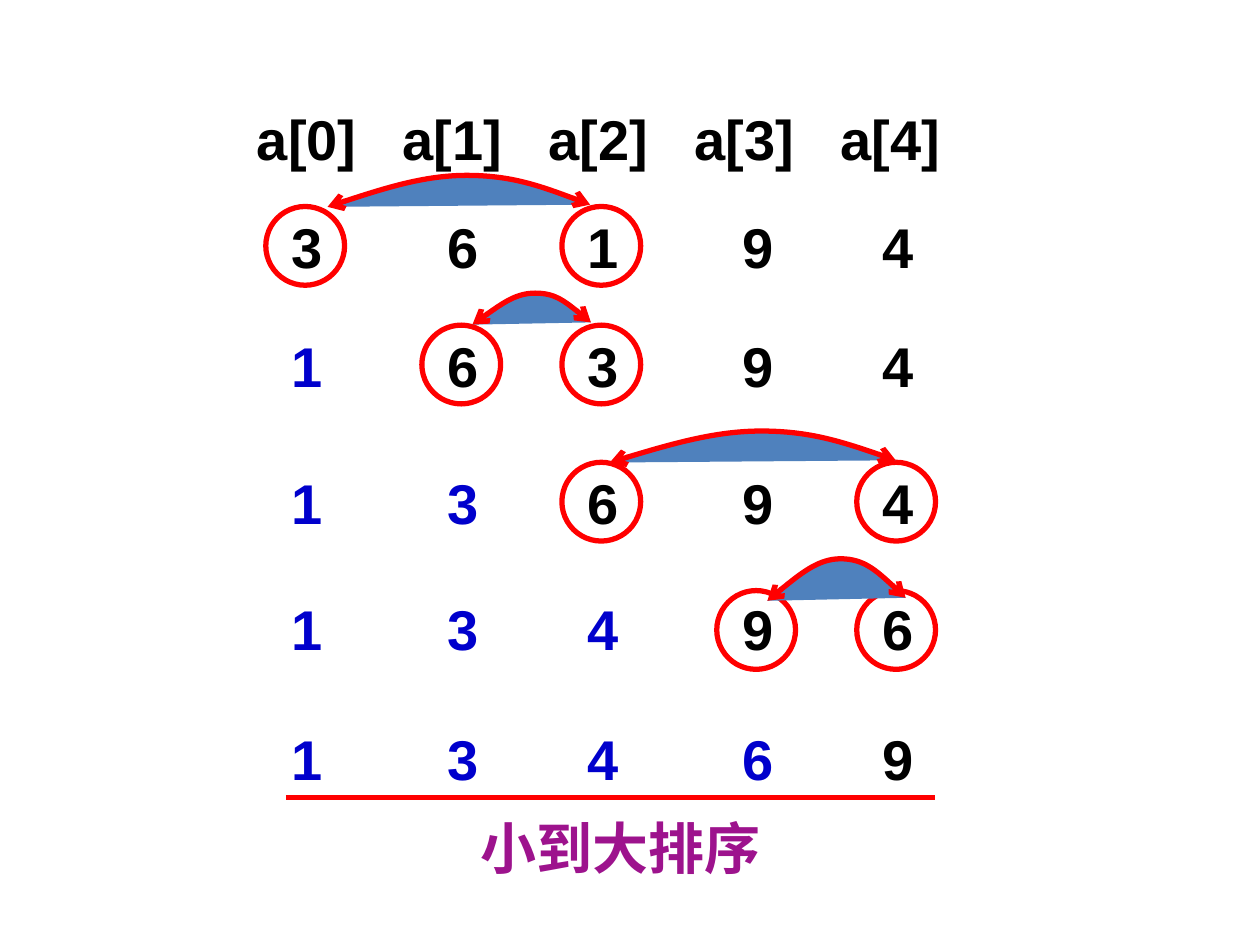
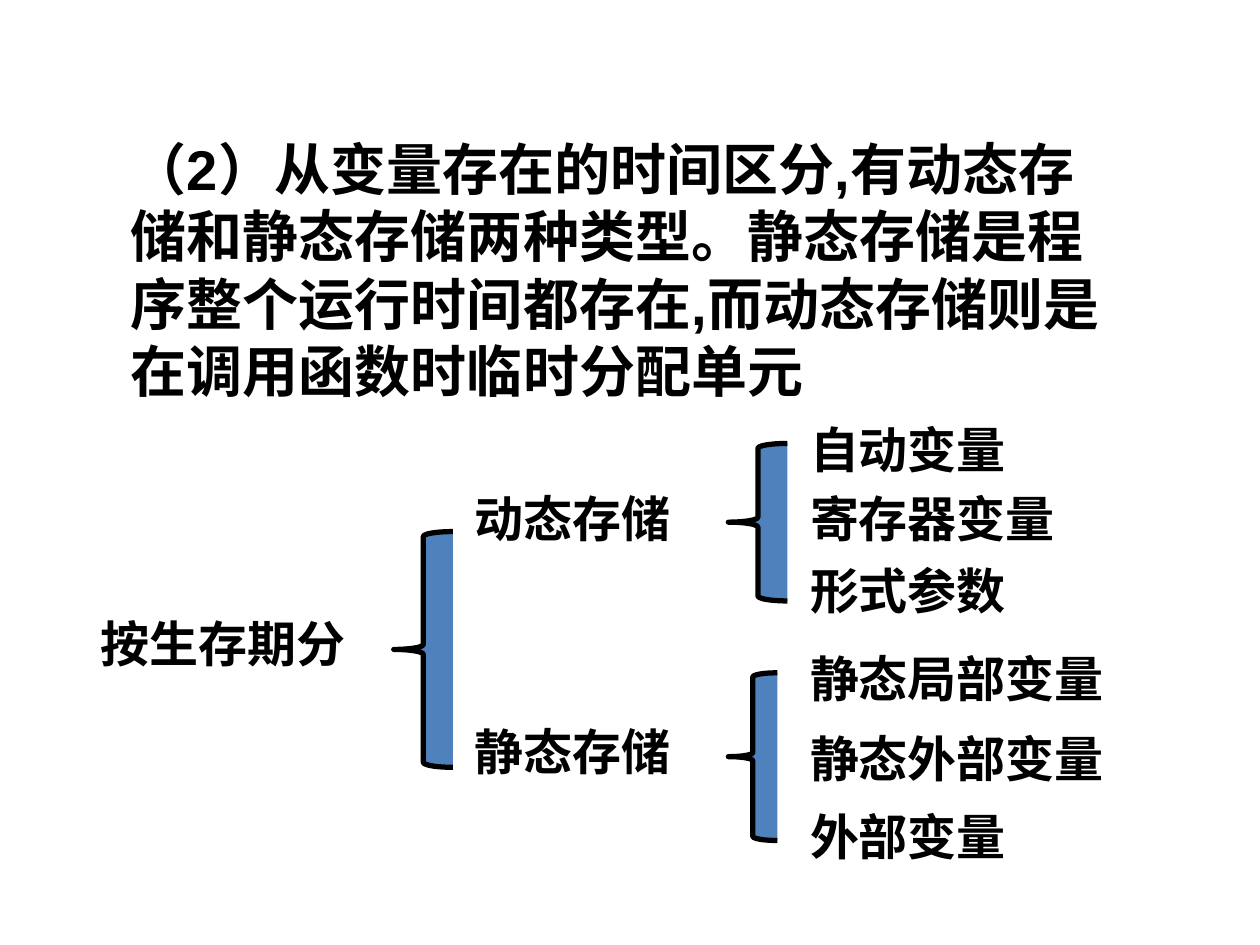
"""Builds two slides: a selection sort trace and a tree of variable lifetimes."""
import pptx
import pptx.util
import pptx.dml.color
import pptx.enum.shapes
import pptx.enum.text
import pptx.oxml.ns
import lxml.etree

Pt = pptx.util.Pt
qn = pptx.oxml.ns.qn
SHAPES = pptx.enum.shapes.MSO_SHAPE
CENTER = pptx.enum.text.PP_ALIGN.CENTER

FONT = "Arial"
BLACK, RED, BLUE, PURPLE, FILL = "000000", "FF0000", "0000CC", "9D138D", "4F81BD"
LINE_WIDTH = 3
INSET = 7.2

ROW_LEFT, ROW_WIDTH, ROW_HEIGHT = 106.5, 472.5, 46
HEADER_TOP = 56
HEADERS = ["a[0]", "a[1]", "a[2]", "a[3]", "a[4]"]
HEADER_CENTERS = [175.4 + 83.4 * index for index in range(len(HEADERS))]
COLUMN_CENTERS = [175.4, 264.6, 344.6, 433.1, 513.1]
CIRCLE_SIZE = 45
PASSES = [
    {"top": 118, "values": "36194", "sorted": 0, "circle_top": 118,
     "swap": (0, 2), "arc": (187.2, 100.2, 150, 18)},
    {"top": 185.8, "values": "16394", "sorted": 1, "circle_top": 185.8,
     "swap": (1, 2), "arc": (270, 167.5, 67.7, 18)},
    {"top": 264.2, "values": "13694", "sorted": 2, "circle_top": 264.2,
     "swap": (2, 4), "arc": (348.5, 246.3, 163.4, 18)},
    {"top": 336.2, "values": "13496", "sorted": 3, "circle_top": 337.5,
     "swap": (3, 4), "arc": (438.5, 319.3, 79, 24)},
    {"top": 410.4, "values": "13469", "sorted": 4},
]
ARC_CURVE = [(0, 1), (0.18, 0.5), (0.37, 0), (0.53, 0), (0.7, 0), (0.85, 0.45), (1, 0.93)]
RULE = (163.4, 534.2, 455.8)
CAPTION = ("小到大排序", 213.8, 461.5, 281.5, 46)

INTRO = ("（2）从变量存在的时间区分,有动态存储和静态存储两种类型。静态存储是程序整个运行时间都存在,"
         "而动态存储则是在调用函数时临时分配单元")
INTRO_BOX = (67.7, 73.4, 579.6, 161.3)
LABEL_HEIGHT = 41
TREE_LEVELS = [
    (50.4, 174.2, [("按生存期分", 347)]),
    (264.2, 140.4, [("动态存储", 275.8), ("静态存储", 409)]),
    (455.8, 191.5, [("自动变量", 236.2), ("寄存器变量", 275.8), ("形式参数", 316.8),
                    ("静态局部变量", 367.2), ("静态外部变量", 412.6), ("外部变量", 457.2)]),
]
BRACES = [(225, 303.8, 33.8, 134.7), (416.2, 253.4, 33.8, 90), (416.2, 384.5, 28, 95.8)]


def color(value):
    return pptx.dml.color.RGBColor.from_string(value)


def add_text(slide, pieces, left, top, width, height, size=32, tabs=(), align=None):
    box = slide.shapes.add_textbox(Pt(left), Pt(top), Pt(width), Pt(height))
    box.text_frame.word_wrap = True
    para = box.text_frame.paragraphs[0]
    if align is not None:
        para.alignment = align
    if tabs:
        tab_list = lxml.etree.SubElement(para._p.get_or_add_pPr(), qn("a:tabLst"))
        for center in tabs:
            position = Pt(center - left - INSET)
            lxml.etree.SubElement(tab_list, qn("a:tab"), pos=str(int(position)), algn="ctr")
    for text, text_color in pieces:
        span = para.add_run()
        span.text = text
        span.font.name = FONT
        span.font.size = Pt(size)
        span.font.bold = True
        span.font.color.rgb = color(text_color)


def style_shape(shape, line_color, fill=None):
    shape.shadow.inherit = False
    if fill:
        shape.fill.solid()
        shape.fill.fore_color.rgb = color(fill)
    else:
        shape.fill.background()
    shape.line.color.rgb = color(line_color)
    shape.line.width = Pt(LINE_WIDTH)


def add_preset(slide, kind, left, top, width, height, line_color, fill=None):
    shape = slide.shapes.add_shape(kind, Pt(left), Pt(top), Pt(width), Pt(height))
    style_shape(shape, line_color, fill)


def add_swap_arc(slide, left, top, width, height):
    points = [(Pt(left + x * width), Pt(top + y * height)) for x, y in ARC_CURVE]
    builder = slide.shapes.build_freeform(*points[0])
    builder.add_line_segments(points[1:], close=False)
    arc = builder.convert_to_shape()
    style_shape(arc, RED, FILL)
    segments = list(arc._element.iter(qn("a:lnTo")))
    outline = segments[0].getparent()
    for start in range(0, len(segments), 3):
        curve = lxml.etree.SubElement(outline, qn("a:cubicBezTo"))
        for segment in segments[start:start + 3]:
            curve.append(segment[0])
            outline.remove(segment)
    for end in ("a:headEnd", "a:tailEnd"):
        lxml.etree.SubElement(arc.line._get_or_add_ln(), qn(end), type="arrow")


def add_rule(slide, left, y, width):
    rule = slide.shapes.add_connector(
        pptx.enum.shapes.MSO_CONNECTOR.STRAIGHT, Pt(left), Pt(y), Pt(left + width + 15.2 * 0), Pt(y))
    rule.line.color.rgb = color(RED)
    rule.line.width = Pt(LINE_WIDTH)
    lxml.etree.SubElement(rule._element.spPr, qn("a:effectLst"))


def tabbed(items):
    return "".join("\t" + item for item in items)


def build_sort_slide(slide):
    add_text(slide, [(tabbed(HEADERS), BLACK)], ROW_LEFT, HEADER_TOP, ROW_WIDTH, ROW_HEIGHT,
             tabs=HEADER_CENTERS)
    for step in PASSES:
        done, rest = step["values"][:step["sorted"]], step["values"][step["sorted"]:]
        pieces = [(tabbed(part), shade) for part, shade in ((done, BLUE), (rest, BLACK)) if part]
        add_text(slide, pieces, ROW_LEFT, step["top"], ROW_WIDTH, ROW_HEIGHT, tabs=COLUMN_CENTERS)
        if "swap" in step:
            for column in step["swap"]:
                left = COLUMN_CENTERS[column] - 1 - CIRCLE_SIZE / 2
                add_preset(slide, SHAPES.OVAL, left, step["circle_top"],
                           CIRCLE_SIZE, CIRCLE_SIZE, RED)
            add_swap_arc(slide, *step["arc"])
    caption, *caption_box = CAPTION
    add_text(slide, [(caption, PURPLE)], *caption_box, align=CENTER)
    left, y, height_or_right = RULE
    add_rule(slide, left, height_or_right, y - left)


def build_lifetime_slide(slide):
    add_text(slide, [(INTRO, BLACK)], *INTRO_BOX)
    for left, width, labels in TREE_LEVELS:
        for label, top in labels:
            add_text(slide, [(label, BLACK)], left, top, width, LABEL_HEIGHT, size=28)
    for brace in BRACES:
        add_preset(slide, SHAPES.LEFT_BRACE, *brace, BLACK, FILL)


def main():
    deck = pptx.Presentation()
    deck.slide_width, deck.slide_height = Pt(720), Pt(540)
    for build in (build_sort_slide, build_lifetime_slide):
        build(deck.slides.add_slide(deck.slide_layouts[6]))
    deck.save("out.pptx")


if __name__ == "__main__":
    main()
